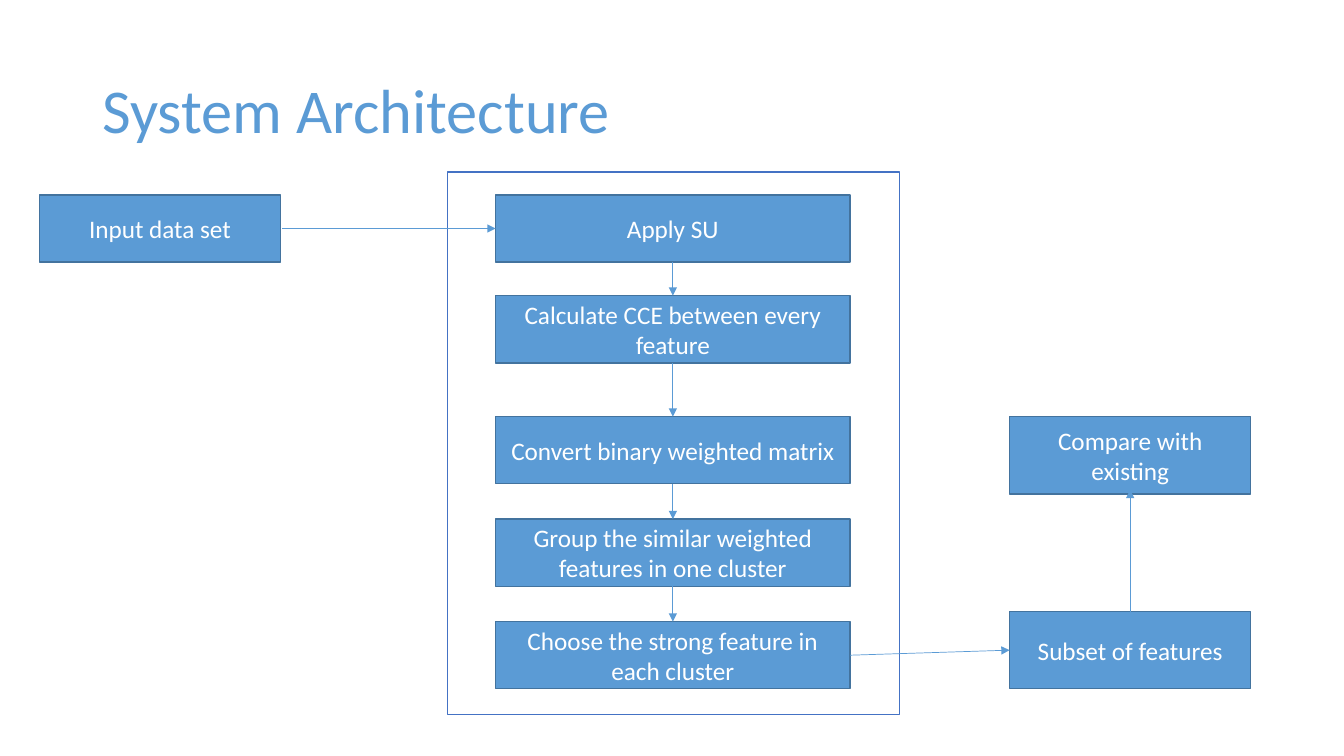
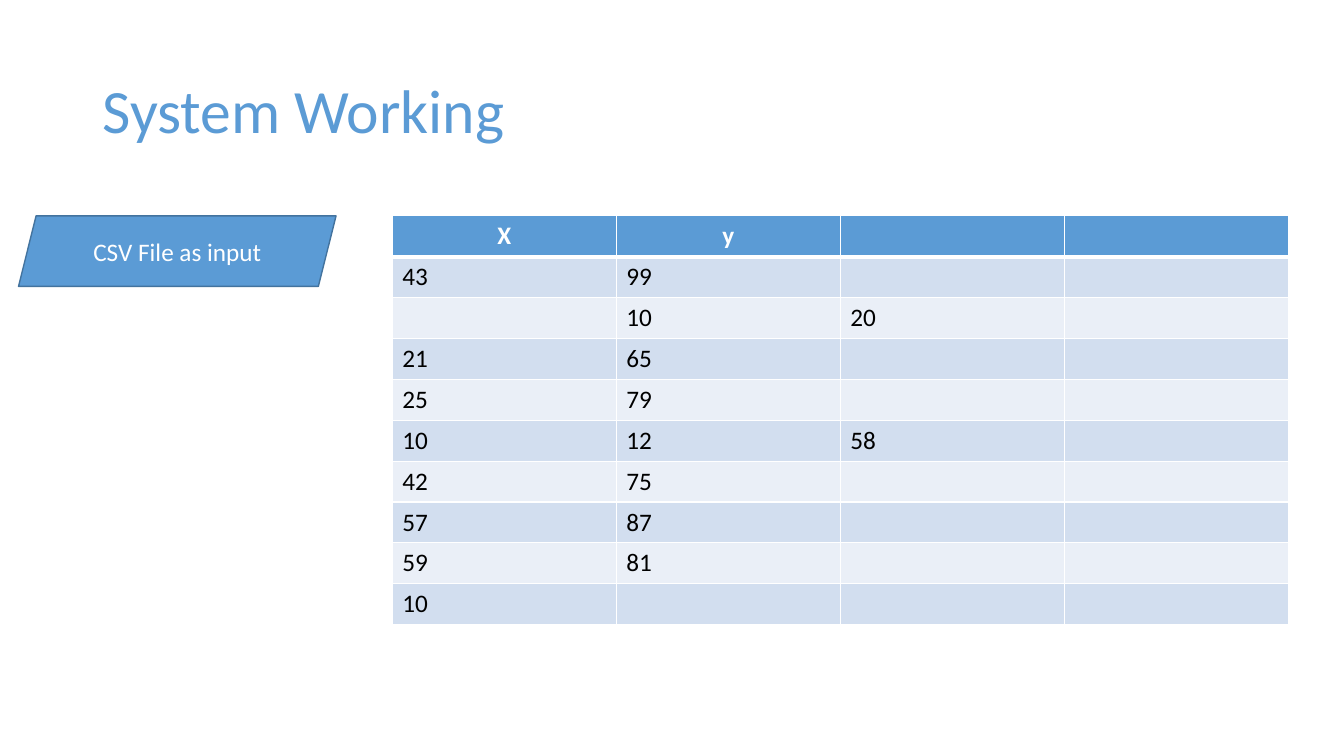
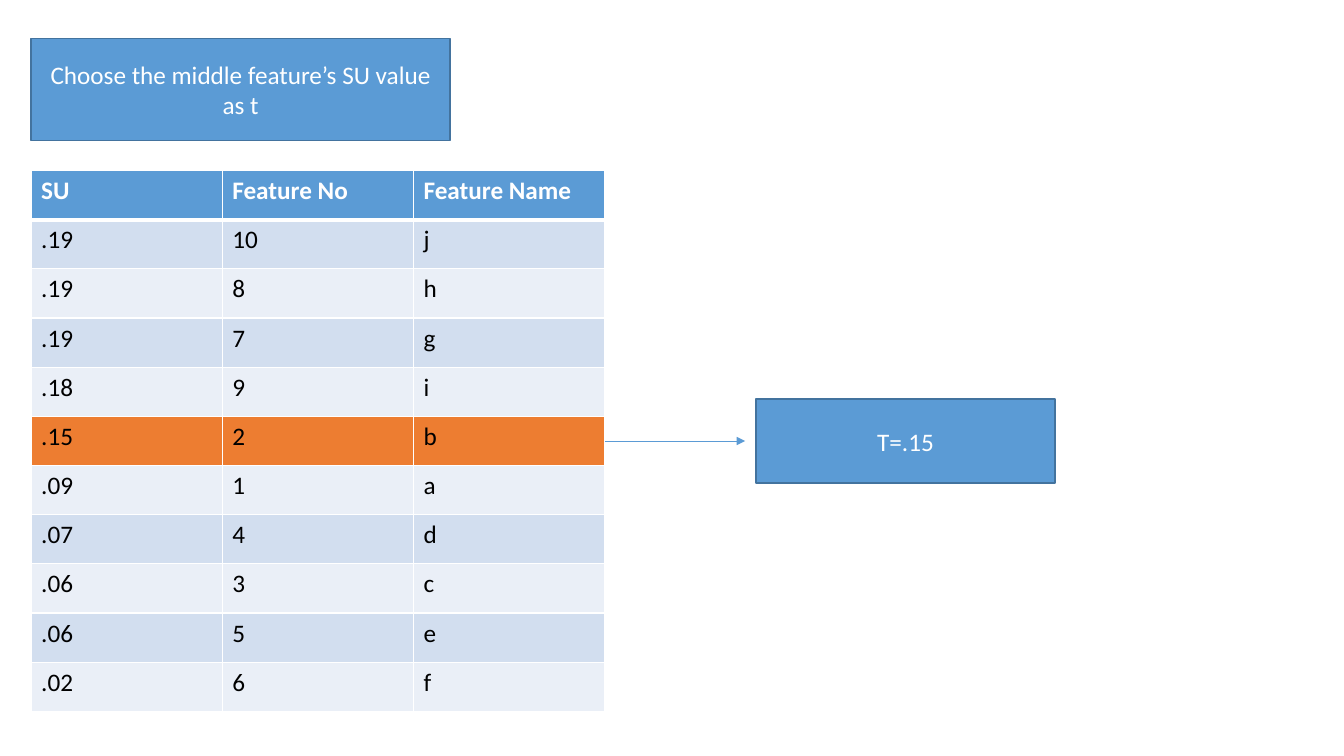
from typing import NamedTuple

from lxml import etree
from pptx import Presentation
from pptx.dml.color import RGBColor
from pptx.enum.dml import MSO_THEME_COLOR
from pptx.enum.shapes import MSO_CONNECTOR, MSO_SHAPE
from pptx.enum.text import MSO_ANCHOR, MSO_AUTO_SIZE, PP_ALIGN
from pptx.oxml import parse_xml
from pptx.oxml.ns import nsdecls, qn
from pptx.slide import Slide
from pptx.util import Inches, Pt

RECT, SLANT = MSO_SHAPE.RECTANGLE, MSO_SHAPE.PARALLELOGRAM
STRAIGHT = MSO_CONNECTOR.STRAIGHT
LEFT, CENTER = PP_ALIGN.LEFT, PP_ALIGN.CENTER
MIDDLE, FIXED = MSO_ANCHOR.MIDDLE, MSO_AUTO_SIZE.NONE
TITLED, BLANK = 5, 6

# Shared look
BLUE, EDGE, FRAME = "5B9BD5", "43739E", "4472C4"
WHITE, BLACK, HOT = "FFFFFF", "000000", "ED7D31"
BANDS = ("D2DEEF", "EAEFF7")
FONT = {"name": "Calibri", "size": Pt(18), "bold": False}
TITLE = {"vertical_anchor": MIDDLE, "auto_size": FIXED, "word_wrap": True}
BODY = {"vertical_anchor": MIDDLE, "word_wrap": True}
THIN, THICK = Pt(1), Pt(3)

# The slide is a grid of 160 columns and 90 rows
WIDE, HIGH = Inches(13.33), Inches(7.5)


class Area(NamedTuple):
    x: float
    y: float
    w: float
    h: float

    @property
    def mid(self) -> float:
        return self.x + self.w / 2

    @property
    def end(self) -> float:
        return self.x + self.w

    @property
    def foot(self) -> float:
        return self.y + self.h


class Box(NamedTuple):
    text: str
    area: Area
    kind: MSO_SHAPE = RECT
    fill: str = BLUE
    edge: str = EDGE


class Arrow(NamedTuple):
    x1: float
    y1: float
    x2: float
    y2: float


class Grid(NamedTuple):
    area: Area
    rows: list[tuple[str, ...]]
    align: PP_ALIGN = LEFT
    hot: int = 0


def col(n: float) -> int:
    return round(WIDE * n / 160)


def row(n: float) -> int:
    return round(HIGH * n / 90)


def place(area: Area) -> tuple[int, int, int, int]:
    return col(area.x), row(area.y), col(area.w), row(area.h)


def tint(code: str) -> RGBColor:
    return RGBColor.from_string(code)


def apply(item: object, values: dict) -> None:
    for name, value in values.items():
        setattr(item, name, value)


def write(para, text: str, color: str, align: PP_ALIGN, **more) -> None:
    para.alignment = align
    run = para.add_run()
    run.text = text
    apply(run.font, FONT | more)
    run.font.color.rgb = tint(color)


def head(slide: Slide, text: str, size: float) -> None:
    shape = slide.shapes.title
    spots = place(Area(11, 4.8, 138, 17.4))
    apply(shape, dict(zip(("left", "top", "width", "height"), spots)))
    apply(shape.text_frame, TITLE)
    para = shape.text_frame.paragraphs[0]
    para.line_spacing = 0.9
    write(para, text, BLUE, LEFT, size=Pt(size))


def draw_box(slide: Slide, box: Box) -> None:
    shape = slide.shapes.add_shape(box.kind, *place(box.area))
    shape.shadow.inherit = False
    shape.fill.solid()
    shape.fill.fore_color.rgb = tint(box.fill)
    shape.line.color.rgb = tint(box.edge)
    shape.line.width = THIN
    apply(shape.text_frame, BODY)
    if box.text:
        write(shape.text_frame.paragraphs[0], box.text, WHITE, CENTER)


def draw_arrow(slide: Slide, arrow: Arrow) -> None:
    line = slide.shapes.add_connector(
        STRAIGHT, col(arrow.x1), row(arrow.y1), col(arrow.x2), row(arrow.y2))
    line.line.color.rgb = tint(BLUE)
    line.line.width = Pt(0.5)
    etree.SubElement(line.line._get_or_add_ln(), qn("a:tailEnd"), type="triangle")
    etree.SubElement(line._element.spPr, qn("a:effectLst"))


def rule(cell, top: int, foot: int) -> None:
    sides = {"L": THIN, "R": THIN, "T": top, "B": foot}
    props = cell._tc.get_or_add_tcPr()
    for spot, (side, width) in enumerate(sides.items()):
        props.insert(spot, parse_xml(
            f'<a:ln{side} {nsdecls("a")} w="{width}"><a:solidFill>'
            f'<a:srgbClr val="{WHITE}"/></a:solidFill></a:ln{side}>'))


def draw_grid(slide: Slide, grid: Grid) -> None:
    count, width = len(grid.rows), len(grid.rows[0])
    table = slide.shapes.add_table(count, width, *place(grid.area)).table
    table.horz_banding = False
    for r, texts in enumerate(grid.rows):
        top = r == 0
        fill = BLUE if top else HOT if r == grid.hot else BANDS[(r - 1) % 2]
        for c, text in enumerate(texts):
            cell = table.cell(r, c)
            cell.fill.solid()
            cell.fill.fore_color.rgb = tint(fill)
            rule(cell, THICK if r == 1 else THIN, THICK if top else THIN)
            if text:
                write(cell.text_frame.paragraphs[0], text,
                      WHITE if top else BLACK,
                      grid.align if top else LEFT, bold=top)


deck = Presentation()
deck.slide_width, deck.slide_height = WIDE, HIGH


def add_slide(layout: int) -> Slide:
    return deck.slides.add_slide(deck.slide_layouts[layout])


# Slide 1: flow of the system
flow = add_slide(TITLED)
draw_box(flow, Box("", Area(53.3, 20.5, 53.8, 64.6), fill=WHITE, edge=FRAME))
head(flow, "System Architecture", 44.5)

STEPS = {
    "Apply SU": 23.2,
    "Calculate CCE between every feature": 35.2,
    "Convert binary weighted matrix": 49.6,
    "Group the similar weighted features in one cluster": 61.8,
    "Choose the strong feature in each cluster": 74,
}
steps = [Box(text, Area(59, y, 42.2, 8)) for text, y in STEPS.items()]
data = Box("Input data set", Area(4.7, 23.2, 28.7, 8))
subset = Box("Subset of features", Area(120.2, 72.8, 28.7, 9.2))
compare = Box("Compare with existing", Area(120.2, 49.6, 28.7, 9.2))
for box in (data, *steps, subset, compare):
    draw_box(flow, box)

links = [Arrow(a.area.mid, a.area.foot, b.area.mid, b.area.y)
         for a, b in zip(steps, steps[1:])]
links += [
    Arrow(data.area.end + 0.2, 27.2, steps[0].area.x, 27.2),
    Arrow(steps[-1].area.end, 78, subset.area.x, 77.4),
    Arrow(subset.area.mid, subset.area.y, compare.area.mid, 58.3),
]
for link in links:
    draw_arrow(flow, link)

# Slide 2: input table
work = add_slide(TITLED)
head(work, "System Working", 44)
draw_box(work, Box("CSV File as input", Area(2.2, 25.7, 37.8, 8.4), SLANT))
draw_grid(work, Grid(Area(46.7, 25.7, 106.7, 48.7), [
    ("X", "y", "", ""),
    ("43", "99", "", ""),
    ("", "10", "20", ""),
    ("21", "65", "", ""),
    ("25", "79", "", ""),
    ("10", "12", "58", ""),
    ("42", "75", "", ""),
    ("57", "87", "", ""),
    ("59", "81", "", ""),
    ("10", "", "", ""),
], CENTER))

# Slide 3: choice of the threshold
pick = add_slide(BLANK)
draw_box(pick, Box("Choose the middle feature’s SU value as t",
                   Area(3.7, 4.6, 49.9, 12.1)))
draw_grid(pick, Grid(Area(3.7, 20.3, 68.3, 64.4), [
    ("SU", "Feature No", "Feature Name"),
    (".19", "10", "j"),
    (".19", "8", "h"),
    (".19", "7", "g"),
    (".18", "9", "i"),
    (".15", "2", "b"),
    (".09", "1", "a"),
    (".07", "4", "d"),
    (".06", "3", "c"),
    (".06", "5", "e"),
    (".02", "6", "f"),
], hot=5))
draw_box(pick, Box("T=.15", Area(90, 47.5, 35.6, 10)))
draw_arrow(pick, Arrow(72, 52.5, 88.7, 52.5))

deck.save("out.pptx")
